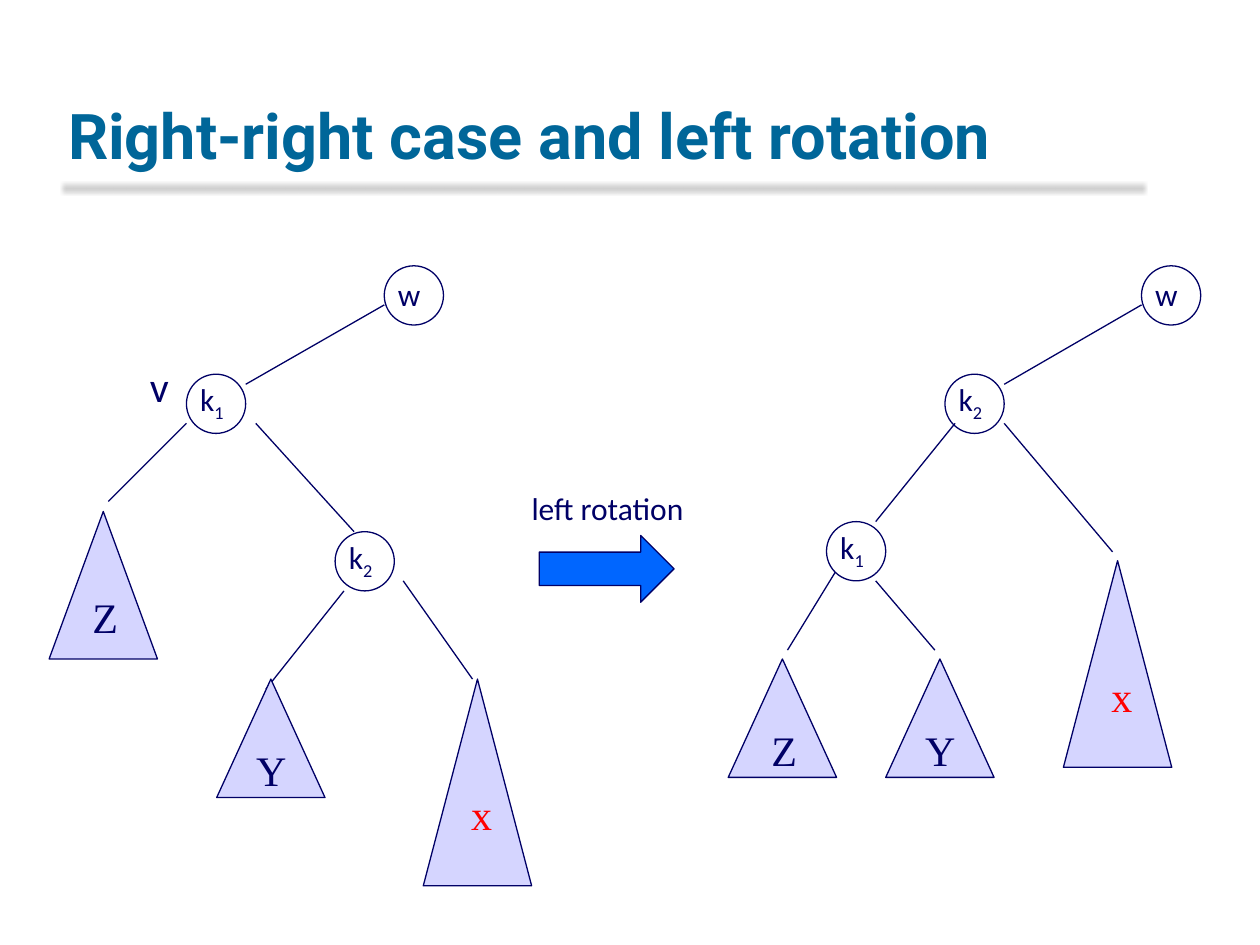
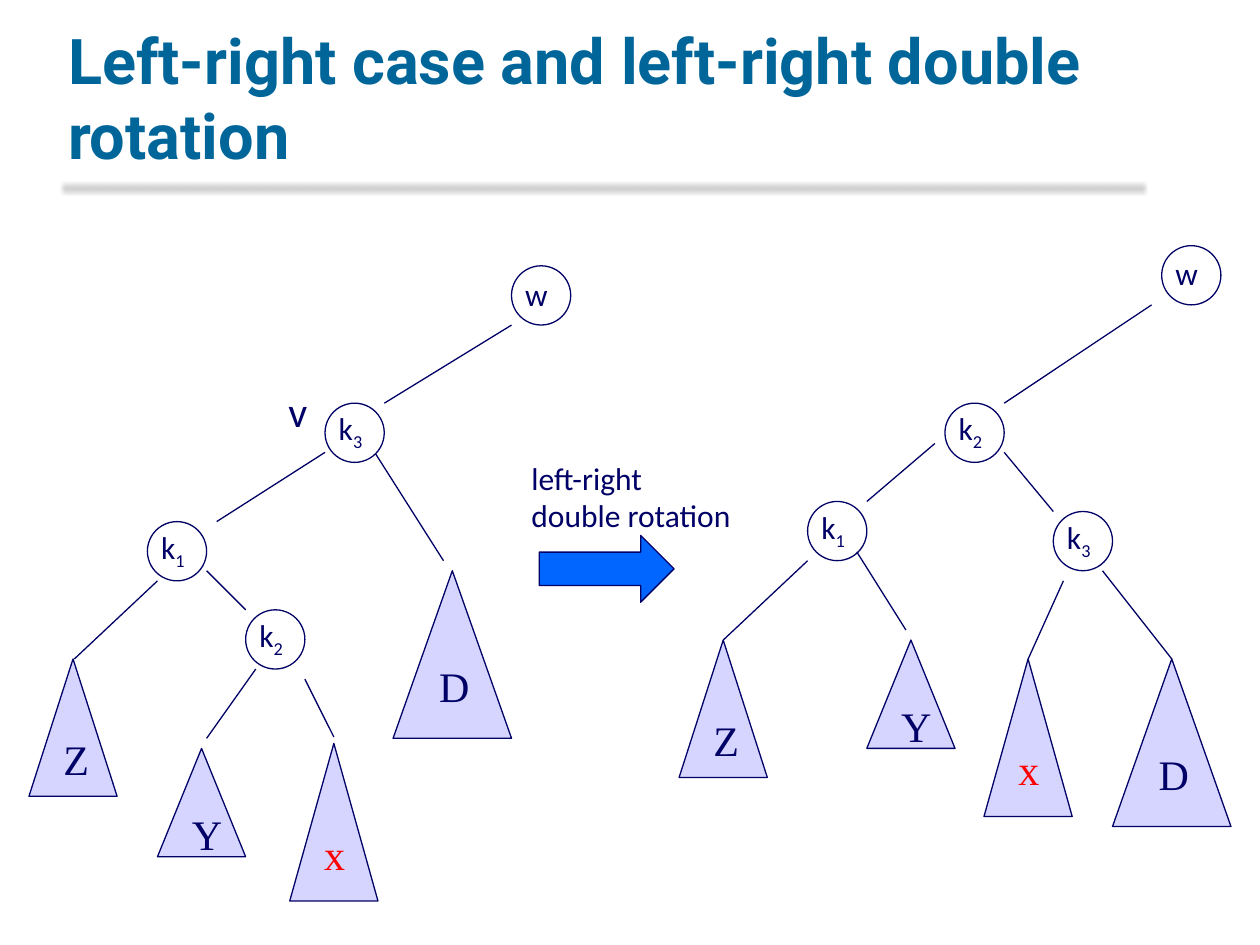
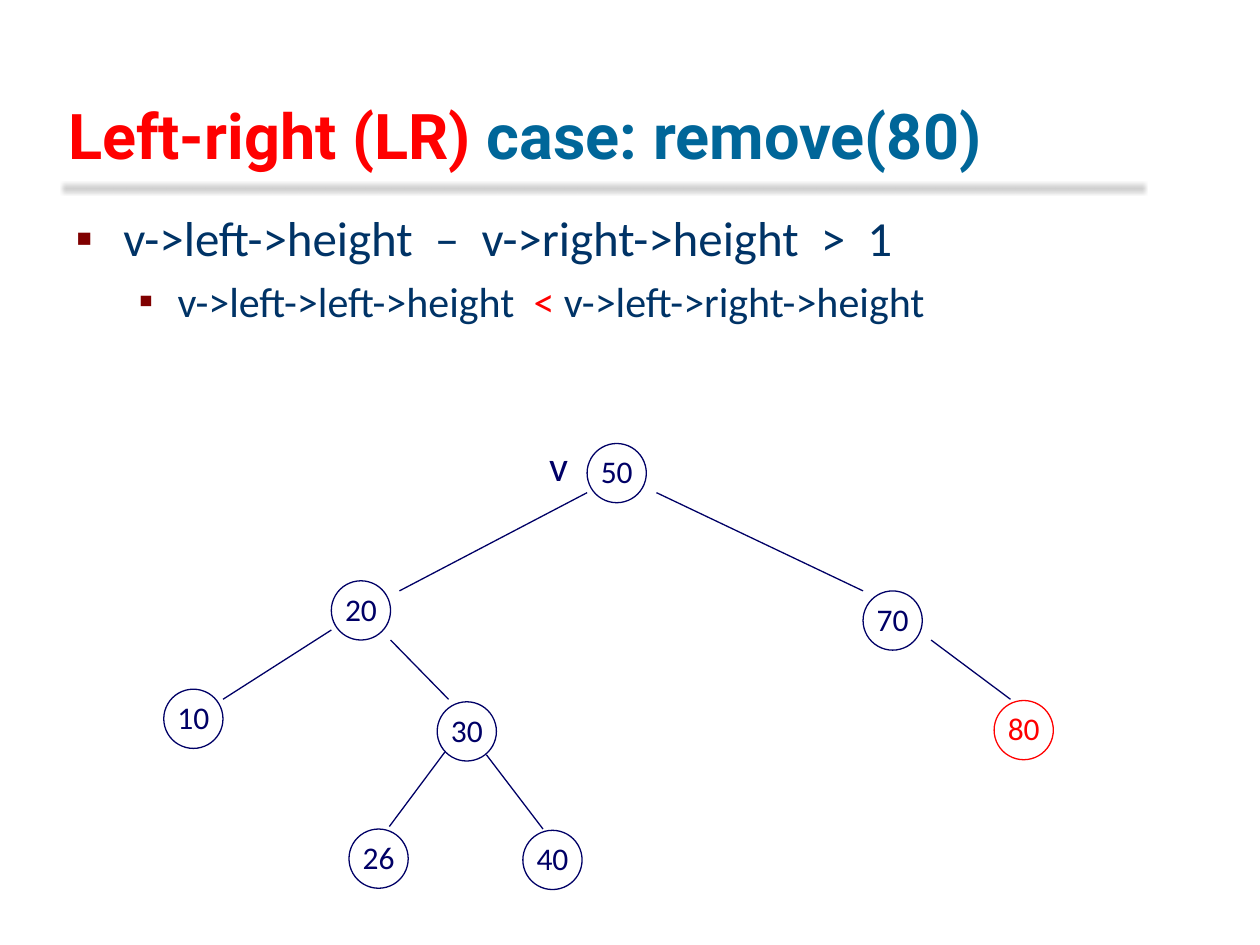
from lxml import etree
from pptx import Presentation
from pptx.dml.color import RGBColor
from pptx.enum import shapes, text
from pptx.oxml import ns
from pptx.util import Emu, Inches, Pt

COLORS = {"title": "006699", "body": "003366", "ink": "000066", "subtree": "D5D5FF",
          "arrow": "0066FF", "accent": "FF0000", "bullet": "800000", "rule": "D0D0D0"}
HEADING, BODY, SERIF = "Roboto", "Calibri", "Times New Roman"
NODE_SIZE = 0.47
ARROW = (4.28, 4.25, 1.07, 0.53)

# nodes: left, top, label; subtrees: left, top, label; edges: from x, y, to x, y
SLIDES = [
    {
        "title": [("Right-right case and left rotation", "title")],
        "nodes": [(1.48, 2.97, "k1"), (2.66, 4.22, "k2"), (3.05, 2.11, "w"),
                  (6.56, 4.14, "k1"), (7.5, 2.97, "k2"), (9.06, 2.11, "w")],
        "subtree_sizes": {"Y": (0.86, 0.94), "Z": (0.86, 0.94), "x": (0.86, 1.64)},
        "subtrees": [(1.72, 5.39, "Y"), (0.39, 4.06, "Z", 1.17), (3.36, 5.39, "x"),
                     (7.03, 5.23, "Y"), (5.78, 5.23, "Z"), (8.44, 4.45, "x")],
        "edges": [(2.73, 4.69, 2.11, 5.47), (1.48, 3.36, 0.86, 3.98),
                  (3.2, 4.61, 3.75, 5.39), (2.03, 3.36, 2.81, 4.22),
                  (1.95, 3.05, 3.05, 2.42), (7.58, 3.36, 6.95, 4.14),
                  (7.97, 3.36, 8.83, 4.38), (7.97, 3.05, 9.06, 2.42),
                  (6.63, 4.54, 6.25, 5.16), (6.95, 4.61, 7.42, 5.16)],
        "v": (1.09, 2.81),
        "rotation": (4.12, 3.83, 1.42, 0.4, ["left rotation"]),
    },
    {
        "title": [("Left-right case and left-right double rotation", "title")],
        "nodes": [(1.95, 4.84, "k2"), (1.17, 4.14, "k1"), (4.06, 2.11, "w"),
                  (2.58, 3.2, "k3"), (6.41, 3.98, "k1"), (7.5, 3.2, "k2"),
                  (9.22, 1.95, "w"), (8.36, 4.06, "k3")],
        "subtree_sizes": {"Y": (0.7, 0.86), "Z": (0.7, 1.09), "x": (0.7, 1.25),
                          "D": (0.94, 1.33)},
        "subtrees": [(1.25, 5.94, "Y"), (0.23, 5.23, "Z"), (2.3, 5.9, "x"),
                     (3.12, 4.53, "D"), (6.88, 5.08, "Y"), (5.39, 5.08, "Z"),
                     (7.81, 5.23, "x"), (8.83, 5.23, "D")],
        "edges": [(3.05, 3.2, 4.06, 2.58), (2.58, 3.59, 1.72, 4.14),
                  (2.98, 3.6, 3.52, 4.45), (2.03, 5.31, 1.64, 5.86),
                  (2.42, 5.39, 2.65, 5.85), (1.64, 4.53, 1.95, 4.84),
                  (1.25, 4.61, 0.59, 5.23), (7.97, 3.2, 9.14, 2.42),
                  (7.42, 3.52, 6.88, 3.98), (6.8, 4.38, 7.19, 5),
                  (6.41, 4.45, 5.74, 5.08), (7.97, 3.59, 8.36, 4.06),
                  (8.75, 4.53, 9.3, 5.23), (8.16, 5.23, 8.44, 4.61)],
        "v": (2.19, 3.01),
        "rotation": (4.12, 3.59, 1.8, 0.71, ["left-right", "double rotation"]),
    },
    {
        "title": [("Left-right (LR)", "accent"), (" case: remove(80)", "title")],
        "bullets": [
            (28, 0.38, 0.38, [("v->left->height  –  v->right->height  >  1", "body")]),
            (24, 0.81, 0.31, [("v->left->left->height  ", "body"), ("< ", "accent"),
                              ("v->left->right->height", "body")]),
        ],
        "nodes": [(2.63, 4.61, "20"), (1.3, 5.47, "10"), (2.77, 6.58, "26"),
                  (7.89, 5.56, "80"), (4.66, 3.52, "50"), (6.85, 4.69, "70"),
                  (3.47, 5.57, "30"), (4.15, 6.59, "40")],
        "edges": [(4.66, 3.91, 3.17, 4.69), (5.21, 3.91, 6.85, 4.69),
                  (7.39, 5.08, 8.02, 5.55), (2.63, 5, 1.77, 5.55),
                  (3.1, 5.08, 3.56, 5.55), (3.53, 5.97, 3.09, 6.56),
                  (3.86, 5.99, 4.31, 6.58)],
        "v": (4.26, 3.44),
    },
]


def rgb(name):
    return RGBColor.from_string(COLORS[name])


def add_run(paragraph, words, size, color="ink", font=BODY):
    run = paragraph.add_run()
    run.text = words
    run.font.size, run.font.name = Pt(size), font
    run.font.color.rgb = rgb(color)
    return run


def place(shape, *box):
    shape.left, shape.top, shape.width, shape.height = map(Inches, box)


def add_shape(slide, kind, box, fill=None, line="ink"):
    shape = slide.shapes.add_shape(kind, *map(Inches, box))
    shape.shadow.inherit = False
    if fill:
        shape.fill.solid()
        shape.fill.fore_color.rgb = rgb(fill)
    else:
        shape.fill.background()
    if line:
        shape.line.color.rgb = rgb(line)
        shape.line.width = Pt(0.75)
    else:
        shape.line.fill.background()
    return shape


def add_node(slide, left, top, label):
    color = "accent" if label == "80" else "ink"
    node = add_shape(slide, shapes.MSO_SHAPE.OVAL, (left, top, NODE_SIZE, NODE_SIZE), line=color)
    frame = node.text_frame
    frame.margin_left, frame.margin_bottom = Inches(0.04), Inches(0.03)
    frame.margin_right = frame.margin_top = 0
    paragraph = frame.paragraphs[0]
    paragraph.alignment = text.PP_ALIGN.LEFT
    if label.startswith("k"):
        add_run(paragraph, "k", 18, color)
        subscript = add_run(paragraph, label[1:], 18, color)
        subscript.font._element.set("baseline", "-25000")
    else:
        add_run(paragraph, label, 18, color)


def add_subtree(slide, sizes, left, top, label, height=None):
    width, usual_height = sizes[label]
    triangle = add_shape(slide, shapes.MSO_SHAPE.ISOSCELES_TRIANGLE,
                         (left, top, width, height or usual_height), "subtree")
    triangle.text_frame.vertical_anchor = text.MSO_ANCHOR.TOP
    paragraph = triangle.text_frame.paragraphs[0]
    paragraph.alignment = text.PP_ALIGN.RIGHT
    add_run(paragraph, label, 24, "accent" if label == "x" else "ink", SERIF)


def add_edge(slide, *ends):
    edge = slide.shapes.add_connector(shapes.MSO_CONNECTOR.STRAIGHT, *map(Inches, ends))
    edge.line.color.rgb = rgb("ink")
    edge.line.width = Pt(0.75)
    etree.SubElement(edge._element.spPr, ns.qn("a:effectLst"))


def add_label(slide, box, lines, size):
    frame = slide.shapes.add_textbox(*map(Inches, box)).text_frame
    for index, line in enumerate(lines):
        paragraph = frame.add_paragraph() if index else frame.paragraphs[0]
        add_run(paragraph, line, size)


def set_title(slide, runs):
    title = slide.shapes.title
    place(title, 0.44, 0.17, 8.5, 1.25)
    title.text_frame.vertical_anchor = text.MSO_ANCHOR.BOTTOM
    title.text_frame.auto_size = text.MSO_AUTO_SIZE.NONE
    paragraph = title.text_frame.paragraphs[0]
    paragraph.alignment = text.PP_ALIGN.LEFT
    for words, color in runs:
        add_run(paragraph, words, 36, color, HEADING).font.bold = True


def set_bullets(slide, bullets):
    body = slide.placeholders[1]
    place(body, 0.5, 1.6, 8.95, 1.06)
    frame = body.text_frame
    frame.auto_size = text.MSO_AUTO_SIZE.NONE
    for level, (size, margin, hanging, runs) in enumerate(bullets):
        paragraph = frame.add_paragraph() if level else frame.paragraphs[0]
        paragraph.level = level
        properties = paragraph._p.get_or_add_pPr()
        properties.set("marL", str(Inches(margin)))
        properties.set("indent", str(-Inches(hanging)))
        bullet_color = etree.SubElement(properties, ns.qn("a:buClr"))
        etree.SubElement(bullet_color, ns.qn("a:srgbClr"), val=COLORS["bullet"])
        etree.SubElement(properties, ns.qn("a:buChar"), char="▪")
        for words, color in runs:
            add_run(paragraph, words, size, color)


def move_rule_to_master(slide, master):
    """Draw the soft line under the titles and hand it to the slide master."""
    rule = add_shape(slide, shapes.MSO_SHAPE.RECTANGLE, (0.48, 1.44, 8.63, 0.11), "rule", None)
    effects = rule._element.spPr.find(ns.qn("a:effectLst"))
    etree.SubElement(effects, ns.qn("a:softEdge"), rad=str(Emu(Inches(0.03))))
    master.shapes._spTree.insert(2, rule._element)


def build_slide(presentation, content):
    layout = presentation.slide_layouts[1 if "bullets" in content else 5]
    slide = presentation.slides.add_slide(layout)
    set_title(slide, content["title"])
    if "bullets" in content:
        set_bullets(slide, content["bullets"])
    for edge in content["edges"]:
        add_edge(slide, *edge)
    for node in content["nodes"]:
        add_node(slide, *node)
    for subtree in content.get("subtrees", []):
        add_subtree(slide, content["subtree_sizes"], *subtree)
    add_label(slide, (*content["v"], 0.35, 0.5), ["v"], 24)
    if "rotation" in content:
        add_shape(slide, shapes.MSO_SHAPE.RIGHT_ARROW, ARROW, "arrow")
        *box, lines = content["rotation"]
        add_label(slide, box, lines, 18)
    return slide


def main():
    presentation = Presentation()
    presentation.slide_width, presentation.slide_height = Inches(10), Inches(7.5)
    slides = [build_slide(presentation, content) for content in SLIDES]
    move_rule_to_master(slides[0], presentation.slide_master)
    presentation.save("out.pptx")


if __name__ == "__main__":
    main()
